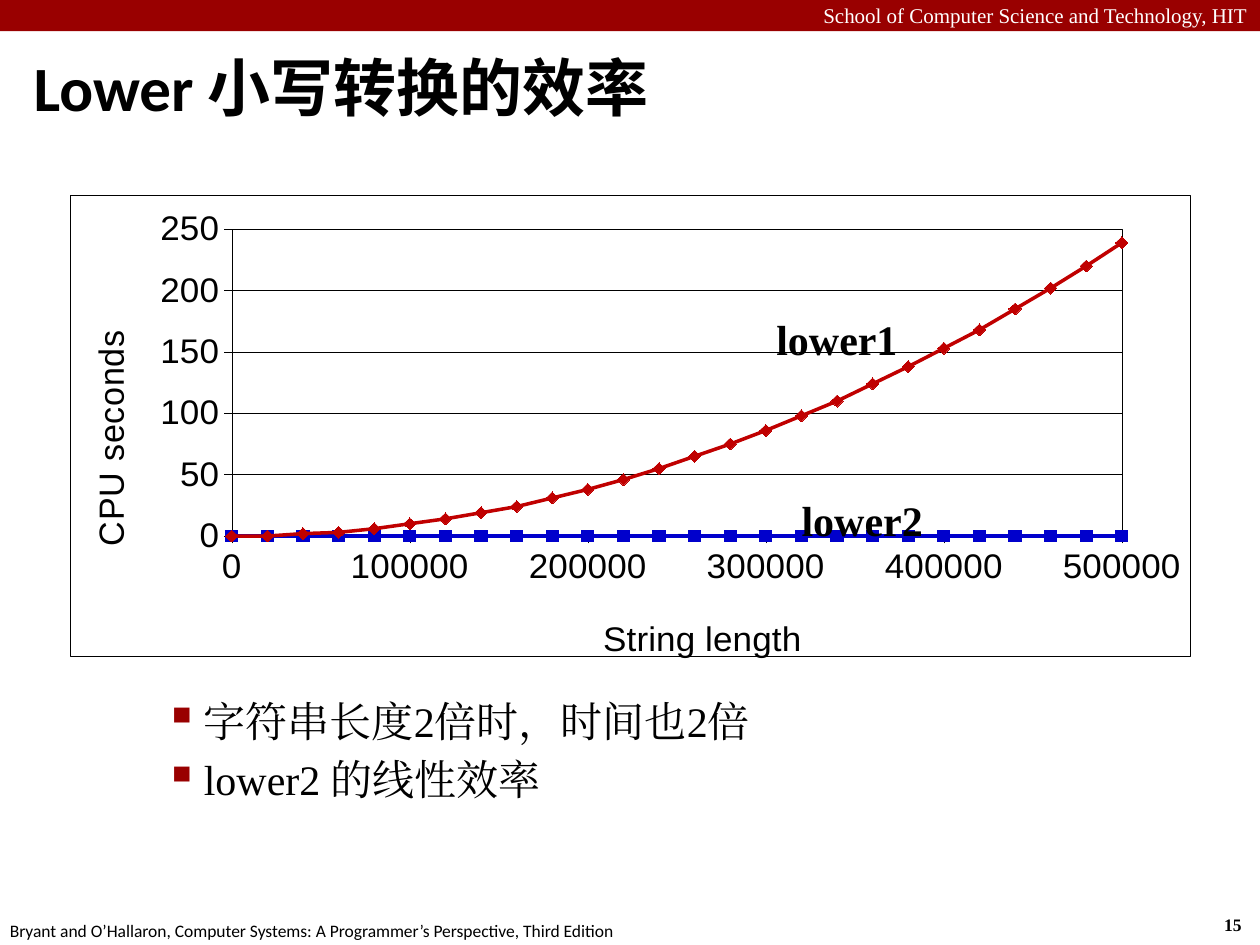
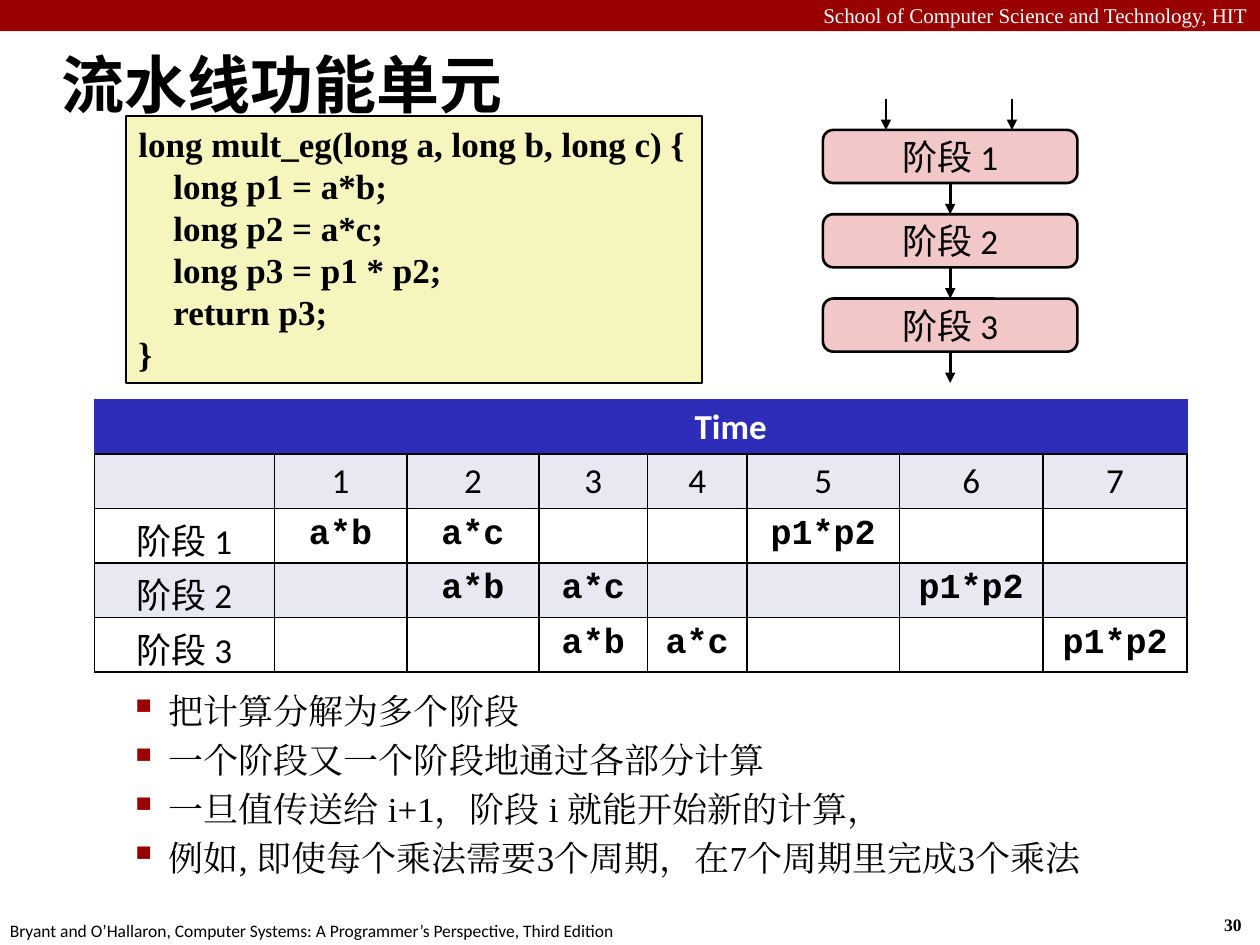
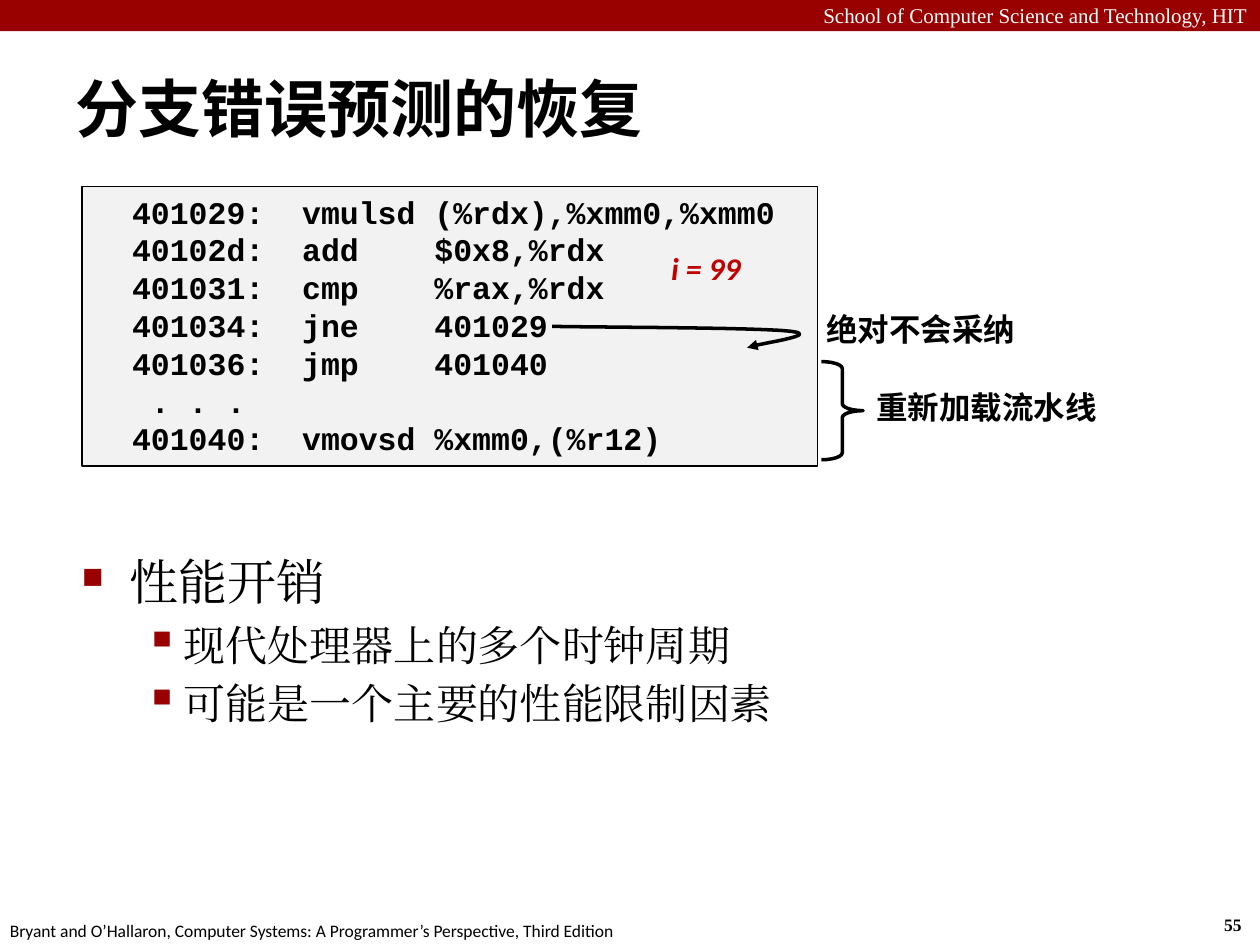
from dataclasses import dataclass
from itertools import pairwise

from pptx import Presentation
from pptx.chart.data import XyChartData
from pptx.dml.color import RGBColor
from pptx.enum.chart import XL_CHART_TYPE, XL_MARKER_STYLE, XL_TICK_MARK
from pptx.enum.shapes import MSO_CONNECTOR, MSO_SHAPE
from pptx.enum.text import MSO_ANCHOR, PP_ALIGN
from pptx.oxml import parse_xml
from pptx.oxml.ns import nsdecls, qn
from pptx.util import Cm, Pt


@dataclass(frozen=True)
class Theme:
    black: str = "000000"
    white: str = "FFFFFF"
    band: str = "990000"
    red: str = "C00000"
    blue: str = "0000CC"
    header: str = "2D2DB9"
    stripe: str = "E8E8F3"
    stage: str = "F1C7C7"
    code: str = "F6F5BD"
    listing: str = "F2F2F2"
    serif: str = "Times New Roman"
    sans: str = "Calibri"
    mono: str = "Courier New"
    chart: str = "Arial"
    title_size: int = 36
    topic_size: int = 28
    large: int = 24
    medium: int = 20
    small: int = 18
    band_size: int = 12
    footer_size: int = 10
    pitch: float = 1.2


T = Theme()

SCHOOL = "School of Computer Science and Technology, HIT"
BOOK = "Bryant and O’Hallaron, Computer Systems: A Programmer’s Perspective, Third Edition"

LENGTHS = range(0, 500001, 20000)
CPU_SECONDS = {
    "lower1": [0, 0, 2, 3, 6, 10, 14, 19, 24, 31, 38, 46, 55, 65, 75, 86, 98,
               110, 124, 138, 153, 168, 185, 202, 220, 239],
    "lower2": [0] * len(LENGTHS),
}
SERIES_LOOKS = [(T.red, XL_MARKER_STYLE.DIAMOND), (T.blue, XL_MARKER_STYLE.SQUARE)]
CURVE_LABELS = [("lower1", 15.57, 6.25), ("lower2", 16.08, 9.88)]
LOWER_POINTS = [(1, "字符串长度2倍时，时间也2倍"), (1, "lower2 的线性效率")]

MULT_CODE = """long mult_eg(long a, long b, long c) {
    long p1 = a*b;
    long p2 = a*c;
    long p3 = p1 * p2;
    return p3;
}"""
STAGES = ["阶段 1", "阶段 2", "阶段 3"]
PRODUCTS = {"a*b": 1, "a*c": 2, "p1*p2": 5}
COLUMN_WIDTHS = [3.63, 2.67, 2.67, 2.18, 2.01, 3.07, 2.9, 2.9]
PIPELINE_POINTS = [
    (1, "把计算分解为多个阶段"),
    (1, "一个阶段又一个阶段地通过各部分计算"),
    (1, "一旦值传送给 i+1，阶段 i 就能开始新的计算，"),
    (1, "例如, 即使每个乘法需要3个周期，在7个周期里完成3个乘法"),
]

BRANCH_CODE = """  401029:  vmulsd (%rdx),%xmm0,%xmm0
  40102d:  add    $0x8,%rdx
  401031:  cmp    %rax,%rdx
  401034:  jne    401029
  401036:  jmp    401040
   . . .
  401040:  vmovsd %xmm0,(%r12)"""
JUMP_CURVE = [
    [(11.13, 6.58), (11.94, 6.6), (15.29, 6.6), (15.95, 6.68)],
    [(15.95, 6.68), (16.59, 6.76), (15.24, 6.93), (15.06, 7.01)],
]
COST_POINTS = [(0, "性能开销"), (1, "现代处理器上的多个时钟周期"), (1, "可能是一个主要的性能限制因素")]

BULLETS = {0: ("■", 60, 0.97, 0.97), 1: ("▪", 110, 2.06, 0.79)}


def rgb(color):
    return RGBColor.from_string(color)


def cms(*lengths):
    return [Cm(v) for v in lengths]


def style(p, size, font, color=T.black, bold=False, italic=False):
    for r in p.runs:
        f = r.font
        f.size, f.name, f.bold, f.italic = Pt(size), font, bold, italic
        f.color.rgb = rgb(color)
        r.font._element.append(parse_xml(f'<a:ea {nsdecls("a")} typeface="{font}"/>'))


def write(tf, text, size, font, color=T.black, bold=False, italic=False,
          align=PP_ALIGN.LEFT, anchor=MSO_ANCHOR.TOP):
    tf.word_wrap = True
    tf.vertical_anchor = anchor
    tf.text = text
    for p in tf.paragraphs:
        p.alignment = align
        if len(tf.paragraphs) > 1:
            p.line_spacing = Pt(size * T.pitch)
        style(p, size, font, color, bold, italic)


def add_text(s, box, text, size, font, **look):
    sp = s.shapes.add_textbox(*cms(*box))
    write(sp.text_frame, text, size, font, **look)
    return sp


def add_box(s, kind, box, fill=None, line=None, width=1):
    sp = s.shapes.add_shape(kind, *cms(*box))
    paint(sp, fill, line, width)
    return sp


def paint(sp, fill, line, width):
    sp.shadow.inherit = False
    if fill:
        sp.fill.solid()
        sp.fill.fore_color.rgb = rgb(fill)
    else:
        sp.fill.background()
    if line:
        sp.line.color.rgb = rgb(line)
        sp.line.width = Pt(width)
    else:
        sp.line.fill.background()


def add_arrowhead(sp):
    ln = sp.element.spPr.find(qn("a:ln"))
    ln.append(parse_xml(f'<a:tailEnd {nsdecls("a")} type="triangle"/>'))


def add_arrow(s, start, end):
    c = s.shapes.add_connector(MSO_CONNECTOR.STRAIGHT, *cms(*start, *end))
    c.line.color.rgb = rgb(T.black)
    c.line.width = Pt(1.5)
    add_arrowhead(c)
    c.element.spPr.append(parse_xml(f'<a:effectLst {nsdecls("a")}/>'))
    return c


def add_bullets(s, box, points, sizes):
    tf = s.shapes.add_textbox(*cms(*box)).text_frame
    tf.word_wrap = True
    tf.text = "\n".join(text for _, text in points)
    for i, (p, (level, _)) in enumerate(zip(tf.paragraphs, points)):
        char, percent, margin, hang = BULLETS[level]
        p.level = level
        pPr = p._p.get_or_add_pPr()
        pPr.set("marL", str(Cm(margin)))
        pPr.set("indent", str(-Cm(hang)))
        for xml in (f'<a:buClr {nsdecls("a")}><a:srgbClr val="{T.band}"/></a:buClr>',
                    f'<a:buSzPct {nsdecls("a")} val="{percent * 1000}"/>',
                    f'<a:buChar {nsdecls("a")} char="{char}"/>'):
            pPr.append(parse_xml(xml))
        p.line_spacing = Pt(sizes[level] * T.pitch)
        if i:
            p.space_before = Pt(sizes[level] * 0.2)
        style(p, sizes[level], T.serif)


def new_slide(prs, number, title, title_box):
    s = prs.slides.add_slide(prs.slide_layouts[6])
    add_box(s, MSO_SHAPE.RECTANGLE, (0, 0, 25.4, 0.63), T.band)
    add_text(s, (0, -0.08, 25.4, 0.76), SCHOOL, T.band_size, T.serif,
             color=T.white, align=PP_ALIGN.RIGHT)
    add_text(s, (24.43, 18.31, 0.94, 0.69), str(number), T.footer_size, T.serif, bold=True)
    add_text(s, (-0.05, 18.42, 12.9, 0.69), BOOK, T.footer_size, T.sans)
    add_text(s, title_box, title, T.title_size, T.sans, bold=True, anchor=MSO_ANCHOR.MIDDLE)
    return s


def set_layout(parent, index, target="", **fractions):
    for old in parent.findall(qn("c:layout")):
        parent.remove(old)
    inner = f'<c:layoutTarget val="{target}"/>' if target else ""
    places = "".join(f'<c:{k} val="{v}"/>' for k, v in fractions.items())
    parent.insert(index, parse_xml(
        f'<c:layout {nsdecls("c")}><c:manualLayout>{inner}<c:xMode val="edge"/>'
        f'<c:yMode val="edge"/>{places}</c:manualLayout></c:layout>'))


def frame_xml(fill):
    return parse_xml(
        f'<c:spPr {nsdecls("c", "a")}><a:solidFill><a:srgbClr val="{fill}"/></a:solidFill>'
        f'<a:ln w="{Pt(0.25)}"><a:solidFill><a:srgbClr val="{T.black}"/></a:solidFill></a:ln></c:spPr>')


def thin(line):
    line.color.rgb = rgb(T.black)
    line.width = Pt(0.25)


def add_axis(axis, title, top, step, grid, x, y):
    axis.minimum_scale, axis.maximum_scale, axis.major_unit = 0, top, step
    axis.major_tick_mark = XL_TICK_MARK.OUTSIDE
    axis.minor_tick_mark = XL_TICK_MARK.NONE
    axis.has_major_gridlines = grid
    if grid:
        thin(axis.major_gridlines.format.line)
    thin(axis.format.line)
    axis.tick_labels.number_format = "General"
    axis.tick_labels.number_format_is_linked = False
    tf = axis.axis_title.text_frame
    tf.text = title
    style(tf.paragraphs[0], T.medium, T.chart)
    set_layout(axis.axis_title.element, 1, x=x, y=y)


def add_cpu_chart(s):
    data = XyChartData()
    for name, seconds in CPU_SECONDS.items():
        series = data.add_series(name)
        for point in zip(LENGTHS, seconds):
            series.add_data_point(*point)
    chart = s.shapes.add_chart(XL_CHART_TYPE.XY_SCATTER_SMOOTH,
                               *cms(1.42, 3.94, 22.58, 9.55), data).chart
    chart.has_legend = chart.has_title = False
    chart.font.size, chart.font.name = Pt(T.medium), T.chart
    chart.font.color.rgb = rgb(T.black)
    plot = chart.plots[0]
    plot.vary_by_categories = False
    for series, (color, marker) in zip(plot.series, SERIES_LOOKS):
        series.smooth = True
        series.format.line.color.rgb = rgb(color)
        series.format.line.width = Pt(2)
        series.marker.style, series.marker.size = marker, 7
        series.marker.format.fill.solid()
        series.marker.format.fill.fore_color.rgb = rgb(color)
        series.marker.format.line.color.rgb = rgb(color)
    add_axis(chart.category_axis, "String length", 500000, 100000, False, 0.47, 0.9)
    add_axis(chart.value_axis, "CPU seconds", 250, 50, True, 0.01, 0.29)
    chart_el = chart.element.find(qn("c:chart"))
    area = chart_el.find(qn("c:plotArea"))
    set_layout(area, 0, "inner", x=0.144, y=0.073, w=0.795, h=0.666)
    area.append(frame_xml(T.white))
    chart_el.addnext(frame_xml(T.white))


def format_cell(cell, fill, edge):
    cell.margin_left = cell.margin_right = Cm(0.36)
    cell.margin_top, cell.margin_bottom = Cm(0.13), Cm(0.1)
    tcPr = cell._tc.get_or_add_tcPr()
    for i, side in enumerate("LRTB"):
        color = T.black if side == "B" else edge
        tcPr.insert(i, parse_xml(
            f'<a:ln{side} {nsdecls("a")} w="{Pt(1)}"><a:solidFill>'
            f'<a:srgbClr val="{color}"/></a:solidFill></a:ln{side}>'))
    cell.fill.solid()
    cell.fill.fore_color.rgb = rgb(fill)


def fill_cell(cell, text, font, **look):
    cell.text = text
    p = cell.text_frame.paragraphs[0]
    p.alignment = PP_ALIGN.CENTER
    style(p, T.medium, font, **look)


def add_time_table(s):
    steps = len(COLUMN_WIDTHS) - 1
    rows = len(STAGES) + 2
    tbl = s.shapes.add_table(rows, steps + 1,
                             *cms(1.9, 8.05, sum(COLUMN_WIDTHS), 5.5)).table
    tbl.first_row = tbl.horz_banding = False
    for column, width in zip(tbl.columns, COLUMN_WIDTHS):
        column.width = Cm(width)
    for i, row in enumerate(tbl.rows):
        row.height = Cm(5.5 / rows)
        fill = T.header if i == 0 else T.stripe if i % 2 else T.white
        for cell in row.cells:
            format_cell(cell, fill, T.black if i else T.header)
    tbl.cell(0, 1).merge(tbl.cell(0, steps))
    fill_cell(tbl.cell(0, 1), "Time", T.sans, color=T.white, bold=True)
    for step in range(1, steps + 1):
        fill_cell(tbl.cell(1, step), str(step), T.sans)
    for i, stage in enumerate(STAGES):
        cell = tbl.cell(i + 2, 0)
        fill_cell(cell, stage, T.sans)
        cell.margin_top, cell.margin_bottom = Cm(0.25), 0
        for product, start in PRODUCTS.items():
            fill_cell(tbl.cell(i + 2, start + i), product, T.mono, bold=True)


def add_stages(s):
    left, top, width, height, gap = 16.59, 2.62, 5.13, 1.07, 0.63
    boxes = []
    for i, stage in enumerate(STAGES):
        sp = add_box(s, MSO_SHAPE.ROUNDED_RECTANGLE,
                     (left, top + i * (height + gap), width, height), T.stage, T.black, 1.5)
        sp.adjustments[0] = 0.196
        write(sp.text_frame, stage, T.medium, T.sans,
              align=PP_ALIGN.CENTER, anchor=MSO_ANCHOR.MIDDLE)
        boxes.append(sp)
    for x in (17.86, 20.4):
        add_arrow(s, (x, top - gap), (x, top))
    for upper, lower in pairwise(boxes):
        c = add_arrow(s, (0, 0), (0, 0))
        c.begin_connect(upper, 2)
        c.end_connect(lower, 0)
    middle, bottom = left + width / 2, top + 3 * height + 2 * gap
    add_arrow(s, (middle, bottom), (middle, bottom + gap)).begin_connect(boxes[-1], 2)


def bezier(points, t):
    weights = ((1 - t) ** 3, 3 * t * (1 - t) ** 2, 3 * t * t * (1 - t), t ** 3)
    return cms(*(sum(w * v for w, v in zip(weights, axis)) for axis in zip(*points)))


def add_jump(s):
    builder = s.shapes.build_freeform(*cms(*JUMP_CURVE[0][0]))
    builder.add_line_segments(
        [bezier(part, k / 12) for part in JUMP_CURVE for k in range(1, 13)], close=False)
    sp = builder.convert_to_shape()
    paint(sp, None, T.black, 2)
    add_arrowhead(sp)


def lower_slide(prs):
    s = new_slide(prs, 15, "Lower 小写转换的效率", (0.43, 0.94, 24.33, 1.6))
    add_cpu_chart(s)
    for name, x, y in CURVE_LABELS:
        tf = add_text(s, (x, y, 2.8, 1.09), name, T.large, T.serif, bold=True).text_frame
        tf.margin_left = tf.margin_top = Cm(0.08)
        tf.margin_right = tf.margin_bottom = 0
    add_bullets(s, (1.8, 13.89, 23.09, 2.51), LOWER_POINTS, {1: T.large})


def pipeline_slide(prs):
    s = new_slide(prs, 30, "流水线功能单元", (0.99, 0.63, 21.08, 2.11))
    add_bullets(s, (1.09, 13.77, 22.6, 4.06), PIPELINE_POINTS, {1: T.medium})
    add_stages(s)
    sp = add_box(s, MSO_SHAPE.RECTANGLE, (2.54, 2.34, 11.61, 5.38), T.code, T.black)
    write(sp.text_frame, MULT_CODE, T.medium, T.serif, bold=True)
    add_time_table(s)


def branch_slide(prs):
    s = new_slide(prs, 55, "分支错误预测的恢复", (1.27, 1.37, 20.98, 1.6))
    add_bullets(s, (1.4, 11, 22.25, 3.81), COST_POINTS, {0: T.topic_size, 1: T.large})
    sp = add_box(s, MSO_SHAPE.RECTANGLE, (1.65, 3.76, 14.83, 5.64), T.listing, T.black)
    write(sp.text_frame, BRANCH_CODE, T.small, T.mono, bold=True)
    add_text(s, (13.28, 4.9, 2.2, 1.3), "i = 99", T.small, T.sans,
             color=T.red, bold=True, italic=True)
    add_jump(s)
    add_text(s, (16.41, 6.12, 4.6, 1.3), "绝对不会采纳", T.small, T.sans, bold=True)
    brace = add_box(s, MSO_SHAPE.RIGHT_BRACE, (16.56, 7.29, 0.84, 1.98), None, T.black, 2)
    brace.adjustments[0] = 0.167
    add_text(s, (17.42, 7.7, 5.2, 1.55), "重新加载流水线", T.small, T.sans, bold=True)


def main():
    prs = Presentation()
    prs.slide_width, prs.slide_height = cms(25.4, 19.05)
    lower_slide(prs)
    pipeline_slide(prs)
    branch_slide(prs)
    prs.save("out.pptx")


if __name__ == "__main__":
    main()
